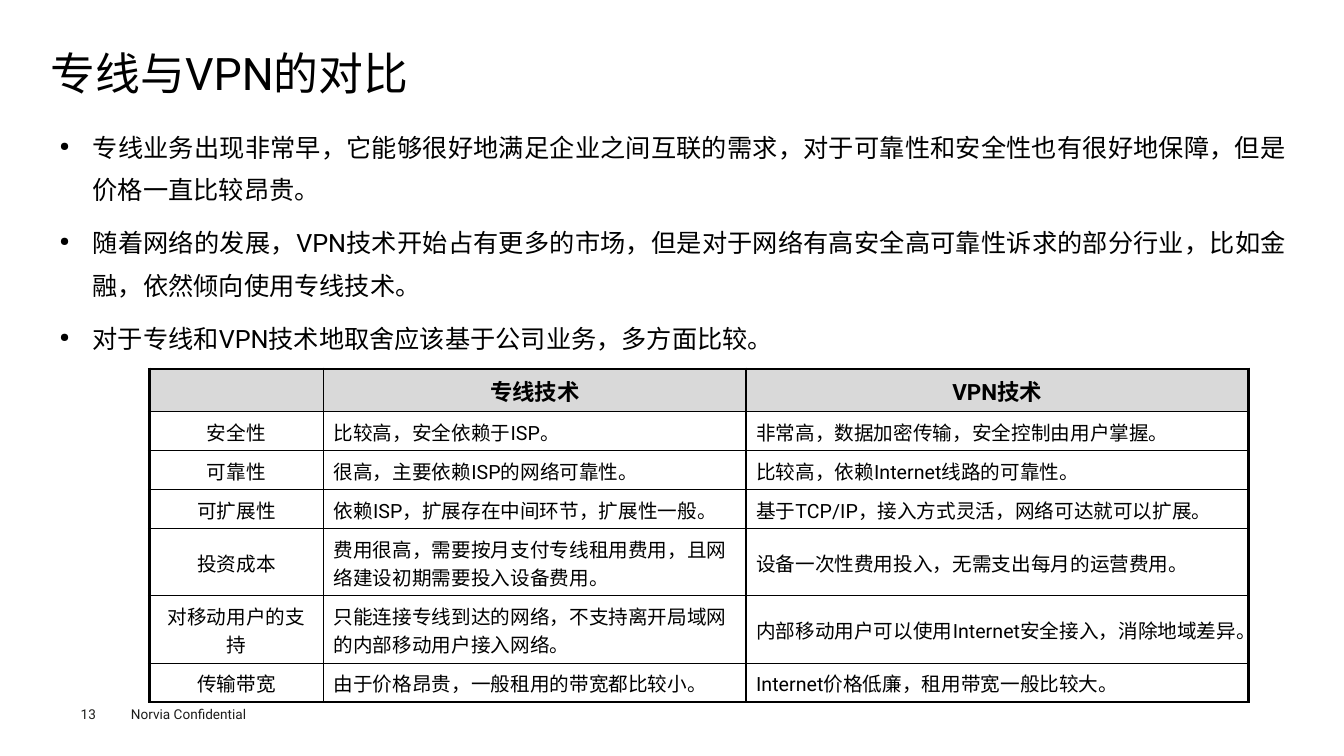
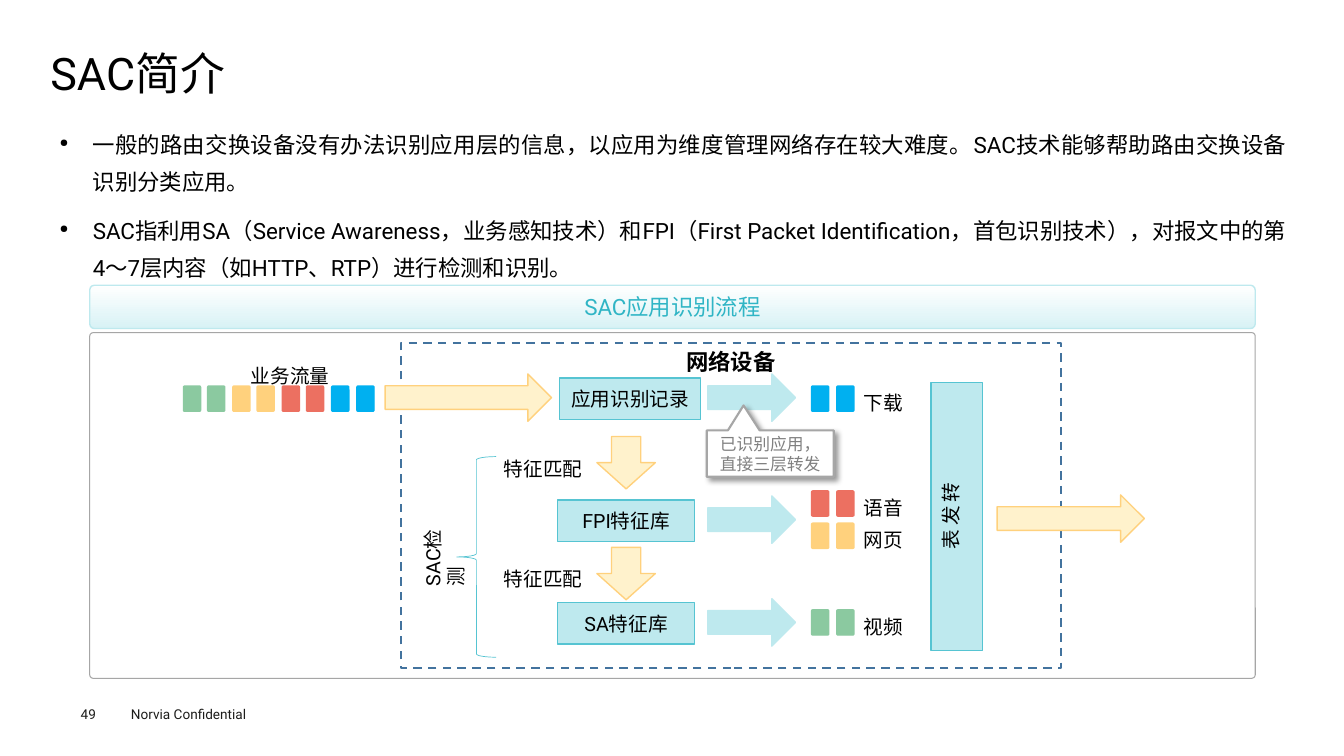
from lxml.etree import SubElement
from pptx import Presentation
from pptx.dml.color import RGBColor
from pptx.enum.dml import MSO_LINE
from pptx.enum.shapes import MSO_SHAPE
from pptx.enum.text import MSO_ANCHOR, PP_ALIGN
from pptx.oxml.ns import qn
from pptx.util import Emu, Pt

EMU_PER_PX = 9144  # 100 px to the inch
FONT = "Roboto"
BLACK, WHITE, FOOTER_INK = "000000", "FFFFFF", "1D1D1B"
HEADER_GREY, FRAME_GREY, NOTE_GREY = "D9D9D9", "A6A6A6", "808080"
TEAL_FILL, TEAL_LINE, TEAL_INK, TEAL_PALE = "BEE9EE", "56C4D2", "30B5C5", "D8F2F5"
CREAM, NAVY = "FFF2CC", "43739E"
BLUE, RED, YELLOW, GREEN = "00B0F0", "EC7061", "FFD17D", "8BC9A0"
LEFT, CENTER, JUSTIFY = PP_ALIGN.LEFT, PP_ALIGN.CENTER, PP_ALIGN.JUSTIFY
TOP, MIDDLE = MSO_ANCHOR.TOP, MSO_ANCHOR.MIDDLE

COMPARISON = [
    ("", "专线技术", "VPN技术"),
    ("安全性", "比较高，安全依赖于ISP。", "非常高，数据加密传输，安全控制由用户掌握。"),
    ("可靠性", "很高，主要依赖ISP的网络可靠性。", "比较高，依赖Internet线路的可靠性。"),
    ("可扩展性", "依赖ISP，扩展存在中间环节，扩展性一般。",
     "基于TCP/IP，接入方式灵活，网络可达就可以扩展。"),
    ("投资成本", "费用很高，需要按月支付专线租用费用，且网络建设初期需要投入设备费用。",
     "设备一次性费用投入，无需支出每月的运营费用。"),
    ("对移动用户的支持", "只能连接专线到达的网络，不支持离开局域网的内部移动用户接入网络。",
     "内部移动用户可以使用Internet安全接入，消除地域差异。"),
    ("传输带宽", "由于价格昂贵，一般租用的带宽都比较小。", "Internet价格低廉，租用带宽一般比较大。"),
]


def px(count):
    return Emu(count * EMU_PER_PX)


def rgb(value):
    return RGBColor.from_string(value)


def add_bullet(paragraph):
    props = paragraph._p.get_or_add_pPr()
    props.set("marL", str(px(33)))
    props.set("indent", str(px(-33)))
    SubElement(props, qn("a:buSzPct")).set("val", "50000")
    SubElement(props, qn("a:buChar")).set("char", "●")


def write(frame, text, size=14, color=BLACK, bold=False, align=LEFT, anchor=TOP,
          wrap=True, margins=None, spacing=None, gap=0, bullet=False):
    """Fill a text frame; each line of text becomes a paragraph, gap points apart."""
    frame.word_wrap = wrap
    frame.vertical_anchor = anchor
    if margins:
        frame.margin_left = frame.margin_right = px(margins[0])
        frame.margin_top = frame.margin_bottom = px(margins[1])
    for index, line in enumerate(text.split("\n")):
        paragraph = frame.add_paragraph() if index else frame.paragraphs[0]
        if bullet:
            add_bullet(paragraph)
        paragraph.alignment = align
        if spacing:
            paragraph.line_spacing = spacing
        if index and gap:
            paragraph.space_before = Pt(gap)
        run = paragraph.add_run()
        run.text = line
        font = run.font
        font.name, font.size, font.bold = FONT, Pt(size), bold
        font.color.rgb = rgb(color)
        SubElement(run._r.get_or_add_rPr(), qn("a:ea")).set("typeface", FONT)


def add_text(slide, box, text, rotation=0, **style):
    label = slide.shapes.add_textbox(*map(px, box))
    label.rotation = rotation
    write(label.text_frame, text, **style)


def add_box(slide, kind, box, fill=None, line=None, width=1, corner=None, text="", **style):
    shape = slide.shapes.add_shape(kind, *map(px, box))
    shape.shadow.inherit = False
    if fill:
        shape.fill.solid()
        shape.fill.fore_color.rgb = rgb(fill)
    else:
        shape.fill.background()
    shape.line.color.rgb = rgb(line or fill)
    shape.line.width = Pt(width)
    if corner is not None:
        shape.adjustments[0] = corner
    if text:
        write(shape.text_frame, text, **{"align": CENTER, "anchor": MIDDLE, **style})
    return shape


def add_page(deck, title, number, bullets, body_height, body_size):
    """Add a slide with the title, bullet list and footer that all pages share."""
    slide = deck.slides.add_slide(deck.slide_layouts[6])
    add_text(slide, (120, 695, 160, 27), "Norvia Confidential", size=9.7, color=FOOTER_INK)
    add_text(slide, (80, 700, 55, 16), str(number), size=9.7, color=FOOTER_INK, margins=(0, 0))
    add_text(slide, (50, 49, 1235, 53), title, size=32, anchor=MIDDLE, margins=(0, 0),
             spacing=0.9)
    add_text(slide, (50, 115, 1235, body_height), "\n".join(bullets), size=body_size,
             align=JUSTIFY, margins=(9, 4), spacing=1.4, gap=7.9, bullet=True)
    return slide


def set_borders(cell, widths):
    """Draw black cell borders; widths are points for left, right, top, bottom."""
    props = cell._tc.get_or_add_tcPr()
    for side, width in zip("LRTB", widths):
        border = SubElement(props, qn(f"a:ln{side}"))
        border.set("w", str(Pt(width)))
        ink = SubElement(border, qn("a:solidFill"))
        SubElement(ink, qn("a:srgbClr")).set("val", BLACK)


def add_comparison(slide, left, top, col_widths, header_height, row_height):
    heights = [header_height] + [row_height] * (len(COMPARISON) - 1)
    size = (sum(col_widths), sum(heights))
    table = slide.shapes.add_table(len(heights), len(col_widths),
                                   *map(px, (left, top, *size))).table
    table.first_row = table.horz_banding = False
    for column, width in zip(table.columns, col_widths):
        column.width = px(width)
    for row, height in zip(table.rows, heights):
        row.height = px(height)
    last_row, last_col = len(heights) - 1, len(col_widths) - 1
    for r, texts in enumerate(COMPARISON):
        for c, text in enumerate(texts):
            cell = table.cell(r, c)
            outer = (c == 0, c == last_col, r == 0, r == last_row)
            set_borders(cell, [2.25 if edge else 1 for edge in outer])
            if r == 0:
                cell.fill.solid()
                cell.fill.fore_color.rgb = rgb(HEADER_GREY)
            else:
                cell.fill.background()
            if text:
                write(cell.text_frame, text, size=14 if r else 16, bold=r == 0, spacing=1.22,
                      align=LEFT if r and c else CENTER)
            cell.vertical_anchor = MIDDLE


def add_flow_heading(slide, box):
    heading = add_box(slide, MSO_SHAPE.ROUNDED_RECTANGLE, box, WHITE, TEAL_FILL, corner=0.11,
                      text="SAC应用识别流程", size=16, color=TEAL_INK, margins=(0, 0))
    heading.fill.gradient()
    heading.fill.gradient_angle = 270
    for stop, color in zip(heading.fill.gradient_stops, (WHITE, TEAL_PALE)):
        stop.color.rgb = rgb(color)


def add_callout(slide, box):
    callout = add_box(slide, MSO_SHAPE.RECTANGULAR_CALLOUT, box, WHITE, FRAME_GREY, 1.5,
                      text="已识别应用，直接三层转发", size=12, color=NOTE_GREY)
    callout.adjustments[0], callout.adjustments[1] = -0.21, -1.04
    effects = callout.element.spPr.find(qn("a:effectLst"))
    shadow = SubElement(effects, qn("a:outerShdw"), blurRad=str(Pt(4)), dist=str(Pt(3)),
                        dir="2700000", algn="tl", rotWithShape="0")
    ink = SubElement(shadow, qn("a:srgbClr"), val=BLACK)
    SubElement(ink, qn("a:alpha"), val="40000")


def add_flow(slide, left, top, width, height):
    """Draw the recognition flow inside a framed panel."""
    def at(x, y, w, h):
        return left + x, top + y, w, h

    def packet(x, y, color):
        add_box(slide, MSO_SHAPE.ROUNDED_RECTANGLE, at(x, y, 17, 25), color, corner=0.07)

    def label(x, y, w, text):
        add_text(slide, at(x, y, w, 27), text, wrap=False)

    frame = add_box(slide, MSO_SHAPE.RECTANGLE, at(309, 10, 654, 323), None, NAVY, 1.5,
                    text="网络设备", size=16, bold=True, anchor=TOP)
    frame.line.dash_style = MSO_LINE.DASH

    traffic = [color for color in (GREEN, YELLOW, RED, BLUE) for _ in range(2)]
    for index, color in enumerate(traffic):
        packet(93 + index * 172 // 7, 53, color)
    label(150, 26, 99, "业务流量")

    for x, y, w in ((293, 41, 165), (900, 161, 146)):
        add_box(slide, MSO_SHAPE.RIGHT_ARROW, at(x, y, w, 47), CREAM, YELLOW)
    for x, y, w, step in ((466, 45, 140, "应用识别记录"), (464, 166, 136, "FPI特征库"),
                          (464, 268, 136, "SA特征库")):
        add_box(slide, MSO_SHAPE.RECTANGLE, at(x, y, w, 41), TEAL_FILL, TEAL_LINE, text=step)
        add_box(slide, MSO_SHAPE.RIGHT_ARROW, at(613, y - 4, 87, 47), TEAL_FILL)
    for y in (103, 213):
        add_box(slide, MSO_SHAPE.DOWN_ARROW, at(503, y, 58, 52), CREAM, YELLOW)
        label(401, y + 15, 99, "特征匹配")

    for y, color, application in ((53, BLUE, "下载"), (157, RED, "语音"),
                                  (189, YELLOW, "网页"), (275, GREEN, "视频")):
        for x in (716, 741):
            packet(x, y, color)
        label(758, y, 59, application)

    add_box(slide, MSO_SHAPE.LEFT_BRACE, at(364, 123, 39, 199), None, TEAL_LINE, 0.5)
    add_text(slide, at(302, 206, 77, 34), "SAC检测", rotation=270)
    add_callout(slide, at(612, 97, 126, 46))

    forwarding = add_box(slide, MSO_SHAPE.RECTANGLE, at(727, 157, 266, 51), TEAL_FILL,
                         TEAL_LINE, text="转\n发\n表")
    forwarding.rotation = 270
    forwarding.text_frame._txBody.bodyPr.set("vert", "eaVert")
    add_box(slide, MSO_SHAPE.ROUNDED_RECTANGLE, at(0, 0, width, height), None, FRAME_GREY,
            0.75, corner=0.01)


def comparison_slide(deck):
    slide = add_page(deck, "专线与VPN的对比", 13, [
        "专线业务出现非常早，它能够很好地满足企业之间互联的需求，对于可靠性和安全性也有很好地保障，"
        "但是价格一直比较昂贵。",
        "随着网络的发展，VPN技术开始占有更多的市场，但是对于网络有高安全高可靠性诉求的部分行业，"
        "比如金融，依然倾向使用专线技术。",
        "对于专线和VPN技术地取舍应该基于公司业务，多方面比较。",
    ], body_height=239, body_size=18)
    add_comparison(slide, 148, 366, (173, 419, 498), 29, 32)


def sac_slide(deck):
    slide = add_page(deck, "SAC简介", 49, [
        "一般的路由交换设备没有办法识别应用层的信息，以应用为维度管理网络存在较大难度。"
        "SAC技术能够帮助路由交换设备识别分类应用。",
        "SAC指利用SA（Service Awareness，业务感知技术）和FPI（First Packet Identification，"
        "首包识别技术），对报文中的第4～7层内容（如HTTP、RTP）进行检测和识别。",
    ], body_height=168, body_size=16)
    add_flow_heading(slide, (89, 283, 1156, 43))
    add_flow(slide, 89, 330, 1156, 343)


def main():
    deck = Presentation()
    deck.slide_width, deck.slide_height = px(1333), px(750)
    comparison_slide(deck)
    sac_slide(deck)
    deck.save("out.pptx")


if __name__ == "__main__":
    main()
